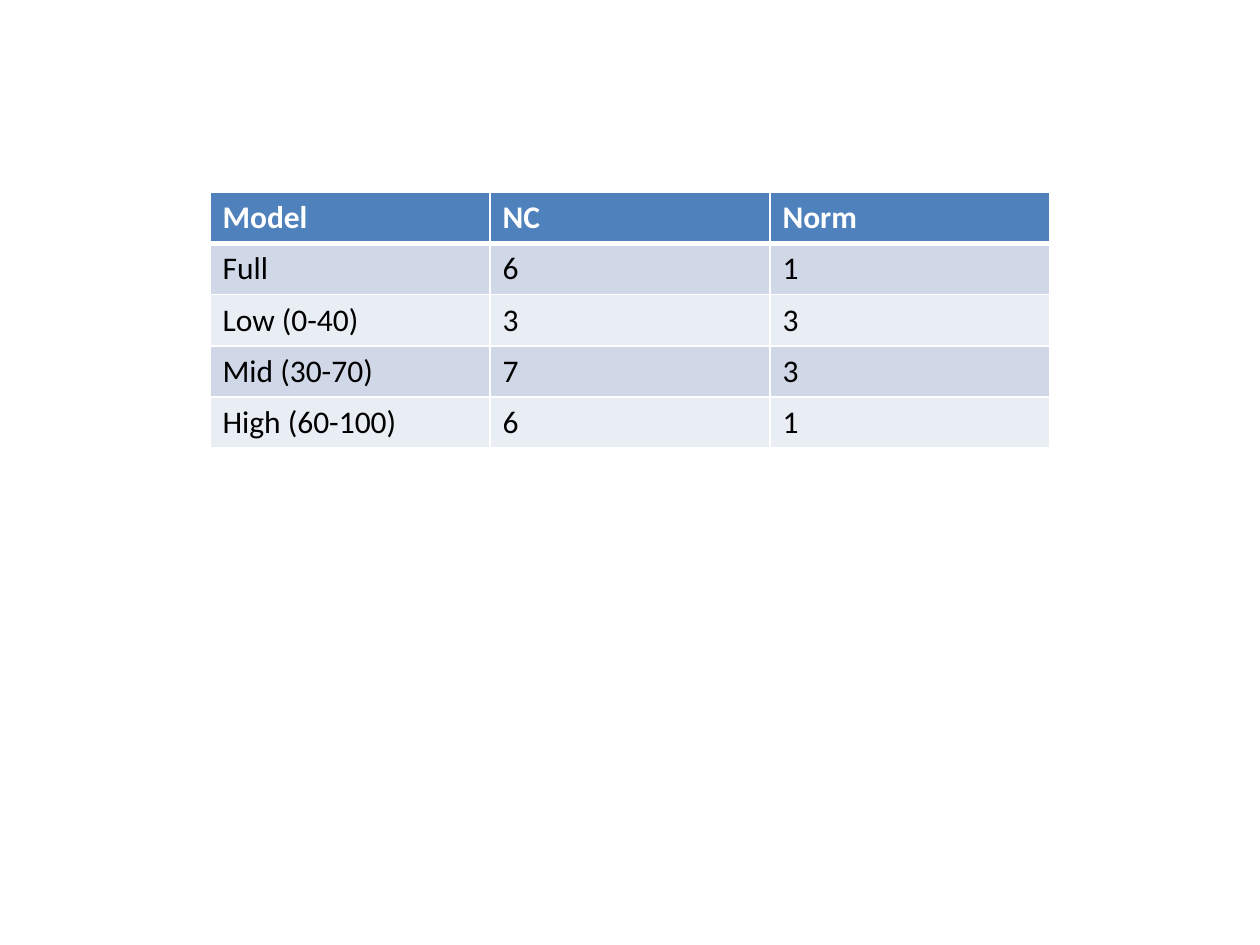
import pptx
import pptx.dml.color
import pptx.oxml
import pptx.oxml.ns
import pptx.util

Pt = pptx.util.Pt
RGBColor = pptx.dml.color.RGBColor

WHITE = RGBColor(0xFF, 0xFF, 0xFF)
BLACK = RGBColor(0x00, 0x00, 0x00)
HEADER_BLUE = RGBColor(0x4F, 0x81, 0xBD)
BAND_DARK = RGBColor(0xD0, 0xD8, 0xE8)
BAND_LIGHT = RGBColor(0xE9, 0xED, 0xF4)

MODEL_RESULTS = [
    ("Model", "NC", "Norm"),
    ("Full", "6", "1"),
    ("Low (0-40)", "3", "3"),
    ("Mid (30-70)", "7", "3"),
    ("High (60-100)", "6", "1"),
]


class SlideBuilder:
    font_name = "Calibri"
    font_size = Pt(18)
    thin_rule = Pt(1)
    header_rule = Pt(3)

    def __init__(self, slide):
        self.slide = slide

    def table(self, records, left, top, column_width, row_height):
        column_count = len(records[0])
        results = self.slide.shapes.add_table(
            len(records), column_count, left, top,
            column_width * column_count, row_height * len(records),
        ).table
        for row_index, record in enumerate(records):
            for column_index, wording in enumerate(record):
                self.cell(results.cell(row_index, column_index), wording, row_index)

    def cell(self, cell, wording, row_index):
        is_header = row_index == 0
        cell.text_frame.text = wording
        font = cell.text_frame.paragraphs[0].runs[0].font
        font.name = self.font_name
        font.size = self.font_size
        font.bold = is_header
        font.color.rgb = WHITE if is_header else BLACK
        self.borders(cell, row_index)
        cell.fill.solid()
        band = BAND_DARK if row_index % 2 else BAND_LIGHT
        cell.fill.fore_color.rgb = HEADER_BLUE if is_header else band

    def borders(self, cell, row_index):
        widths = {
            "lnL": self.thin_rule,
            "lnR": self.thin_rule,
            "lnT": self.header_rule if row_index == 1 else self.thin_rule,
            "lnB": self.header_rule if row_index == 0 else self.thin_rule,
        }
        properties = cell._tc.get_or_add_tcPr()
        for side, width in widths.items():
            properties.append(pptx.oxml.parse_xml(
                f'<a:{side} {pptx.oxml.ns.nsdecls("a")} w="{int(width)}">'
                f'<a:solidFill><a:srgbClr val="{WHITE}"/></a:solidFill></a:{side}>'
            ))


def main():
    presentation = pptx.Presentation()
    presentation.slide_width = Pt(720)
    presentation.slide_height = Pt(540)
    builder = SlideBuilder(presentation.slides.add_slide(presentation.slide_layouts[6]))
    builder.table(MODEL_RESULTS, Pt(120), Pt(110), Pt(160), Pt(29.2))
    presentation.save("out.pptx")


if __name__ == "__main__":
    main()
